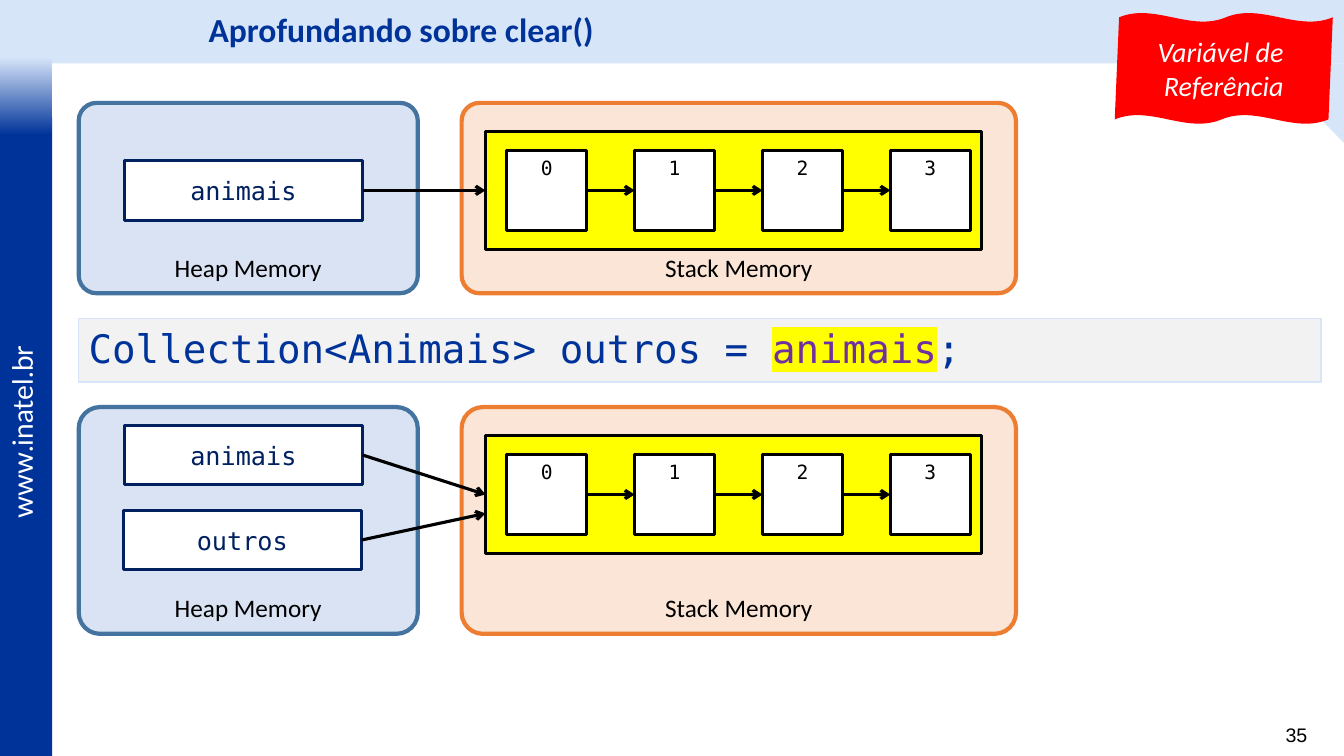
from dataclasses import dataclass

from lxml.etree import SubElement
from pptx import Presentation
from pptx.dml.color import RGBColor
from pptx.enum.shapes import MSO_CONNECTOR, MSO_SHAPE
from pptx.enum.text import MSO_ANCHOR, MSO_AUTO_SIZE, PP_ALIGN
from pptx.oxml.ns import qn
from pptx.util import Pt

MONO = "DejaVu Sans Mono"
SANS = "Calibri"
BLACK, WHITE, YELLOW = "000000", "FFFFFF", "FFFF00"
PALE, ROYAL, NAVY = "D7E5F9", "003399", "002060"
TOP, LEFT, RIGHT = 0, 1, 3

LIST_LEFT, LIST_WIDTH, LIST_HEIGHT = 346.75, 354.25, 84.5
NODE_LEFT, NODE_PITCH, NODE_SIZE, NODE_COUNT = 362, 91.33, 57, 4
VARIABLE_WIDTH, VARIABLE_HEIGHT = 170.25, 42.5


@dataclass(frozen=True)
class Variable:
    name: str
    left: float
    middle: float
    target: float  # height at which its arrow meets the list


@dataclass(frozen=True)
class MemoryState:
    top: float
    height: float
    variables: tuple[Variable, ...]

    @property
    def list_middle(self) -> float:
        return self.top + 62.5


@dataclass(frozen=True)
class Run:
    text: str
    color: str
    highlight: str | None = None


STATES = (
    MemoryState(73.5, 136, (Variable("animais", 88.75, 136, 136),)),
    MemoryState(290.75, 162, (Variable("animais", 88.75, 325, 353.25),
                              Variable("outros", 88, 385.75, 366.75))),
)


def rgb(color: str) -> RGBColor:
    return RGBColor.from_string(color)


def style(shape, fill: str, line: str | None = None, width: float = 2.25) -> None:
    shape.shadow.inherit = False
    shape.fill.solid()
    shape.fill.fore_color.rgb = rgb(fill)
    if line:
        shape.line.color.rgb = rgb(line)
        shape.line.width = Pt(width)
    else:
        shape.line.fill.background()


def add_box(slide, left: float, top: float, width: float, height: float, fill: str,
            line: str | None = None, width_pt: float = 2.25, kind=MSO_SHAPE.RECTANGLE):
    box = slide.shapes.add_shape(kind, Pt(left), Pt(top), Pt(width), Pt(height))
    style(box, fill, line, width_pt)
    return box


def write(shape, *paragraphs: str | list[Run], size: float, color: str = BLACK,
          font: str = SANS, bold: bool = False, italic: bool = False,
          align=PP_ALIGN.CENTER, anchor=MSO_ANCHOR.MIDDLE,
          spacing: float | None = None, wrap: bool = True) -> None:
    """Fill a shape with paragraphs, each a string or a list of coloured runs."""
    frame = shape.text_frame
    frame.word_wrap = wrap
    frame.auto_size = MSO_AUTO_SIZE.NONE
    frame.vertical_anchor = anchor
    for index, content in enumerate(paragraphs):
        paragraph = frame.add_paragraph() if index else frame.paragraphs[0]
        paragraph.alignment = align
        if spacing:
            paragraph.line_spacing = spacing
        runs = [Run(content, color)] if isinstance(content, str) else content
        for part in runs:
            run = paragraph.add_run()
            run.text = part.text
            run.font.name, run.font.size = font, Pt(size)
            run.font.bold, run.font.italic = bold, italic
            run.font.color.rgb = rgb(part.color)
            if part.highlight:
                properties = run.font._element
                highlight = SubElement(properties, qn("a:highlight"))
                SubElement(highlight, qn("a:srgbClr"), val=part.highlight)
                properties.find(qn("a:solidFill")).addnext(highlight)


def add_text(slide, text: str, left: float, top: float, width: float, height: float,
             **text_format):
    box = slide.shapes.add_textbox(Pt(left), Pt(top), Pt(width), Pt(height))
    write(box, text, **text_format)
    return box


def add_arrow(slide, source, target, end: tuple[float, float] | None = None) -> None:
    """Link source's right side to target's left side, or to the point end."""
    x, y = end or (0, 0)
    arrow = slide.shapes.add_connector(MSO_CONNECTOR.STRAIGHT, Pt(0), Pt(0), Pt(x), Pt(y))
    arrow.begin_connect(source, RIGHT)
    if end is None:
        arrow.end_connect(target, LEFT)
    arrow.line.color.rgb = rgb(BLACK)
    arrow.line.width = Pt(2.25)
    properties = arrow._element.spPr
    SubElement(properties.find(qn("a:ln")), qn("a:tailEnd"), type="arrow")
    SubElement(properties, qn("a:effectLst"))


def add_panel(slide, label: str, left: float, width: float, state: MemoryState,
              fill: str, line: str) -> None:
    panel = add_box(slide, left, state.top, width, state.height, fill, line, 3,
                    MSO_SHAPE.ROUNDED_RECTANGLE)
    panel.adjustments[0] = 0.094
    write(panel, label, size=18, anchor=MSO_ANCHOR.BOTTOM)


def add_memory(slide, state: MemoryState) -> None:
    """Draw heap and stack, the list's nodes and the variables that refer to it."""
    middle = state.list_middle
    add_panel(slide, "Stack Memory", 329.75, 396, state, "FBE5D6", "ED7D31")
    animal_list = add_box(slide, LIST_LEFT, middle - LIST_HEIGHT / 2,
                          LIST_WIDTH, LIST_HEIGHT, YELLOW, BLACK)
    add_panel(slide, "Heap Memory", 56.25, 242.25, state, "DAE3F3", "43739E")

    nodes = []
    for index in range(NODE_COUNT):
        node = add_box(slide, NODE_LEFT + index * NODE_PITCH, middle - NODE_SIZE / 2,
                       NODE_SIZE, NODE_SIZE, WHITE, BLACK)
        write(node, str(index), size=14, font=MONO, anchor=MSO_ANCHOR.TOP)
        nodes.append(node)
    for node, following in zip(nodes, nodes[1:]):
        add_arrow(slide, node, following)

    for variable in state.variables:
        box = add_box(slide, variable.left, variable.middle - VARIABLE_HEIGHT / 2,
                      VARIABLE_WIDTH, VARIABLE_HEIGHT, WHITE, NAVY)
        write(box, variable.name, size=18, color=NAVY, font=MONO)
        at_middle = variable.target == middle
        add_arrow(slide, box, animal_list,
                  None if at_middle else (LIST_LEFT, variable.target))


def add_frame(slide) -> None:
    """Draw the header, the side bar with its address, and the slide number."""
    add_box(slide, 0, 0, 960, 45.25, PALE)
    add_box(slide, 0, 83.5, 37.25, 456.5, ROYAL)
    fade = add_box(slide, 0, 41, 37.25, 55.5, PALE)
    fade.fill.gradient()
    fade.fill.gradient_angle = 270
    for stop, position, color in zip(fade.fill.gradient_stops, (0, 1), (PALE, ROYAL)):
        stop.position = position
        stop.color.rgb = rgb(color)
    address = add_text(slide, "www.inatel.br", -51.75, 294.5, 134.5, 31, size=20,
                       color=WHITE, font="Lato", align=PP_ALIGN.LEFT, wrap=False)
    address.rotation = 270
    add_text(slide, "35", 894.25, 512.75, 46.75, 24.25, size=14, font="Arial",
             align=PP_ALIGN.RIGHT)
    outline = slide.shapes.build_freeform(Pt(903.5), Pt(45.25))
    outline.add_line_segments([(Pt(960), Pt(45.25)), (Pt(960), Pt(102))])
    style(outline.convert_to_shape(), PALE)


def main() -> None:
    deck = Presentation()
    deck.slide_width, deck.slide_height = Pt(960), Pt(540)
    slide = deck.slides.add_slide(deck.slide_layouts[5])
    add_frame(slide)

    title = slide.shapes.title
    title.left, title.top, title.width, title.height = Pt(141.75), Pt(0), Pt(818.25), Pt(45.25)
    write(title, "Aprofundando sobre clear()", size=24, color=ROYAL, bold=True,
          align=PP_ALIGN.LEFT, spacing=0.9)
    title.element.getparent().append(title.element)

    for state in STATES:
        add_memory(slide, state)

    code = add_box(slide, 56.25, 227.5, 887.5, 45.5, "F2F2F2", PALE, 1)
    write(code, [Run("Collection<Animais> outros = ", ROYAL),
                 Run("animais", "7030A0", YELLOW), Run(";", ROYAL)],
          size=28, font=MONO, align=PP_ALIGN.LEFT, spacing=0.9)

    banner = add_box(slide, 796.25, 9.25, 155.75, 79.25, "FF0000", kind=MSO_SHAPE.DOUBLE_WAVE)
    banner.adjustments[0], banner.adjustments[1] = 0.04, -0.01
    write(banner, "Variável de ", "Referência", size=20, color=WHITE, italic=True)
    deck.save("out.pptx")


if __name__ == "__main__":
    main()
